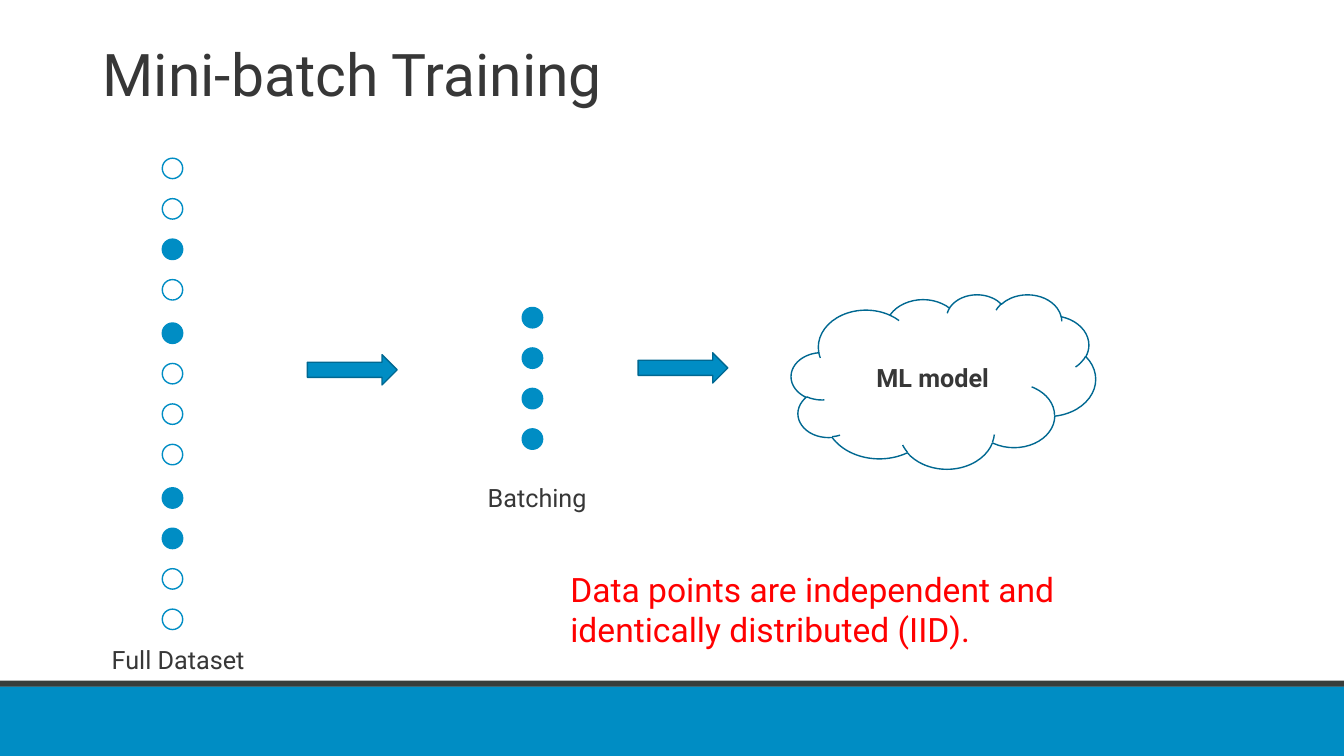
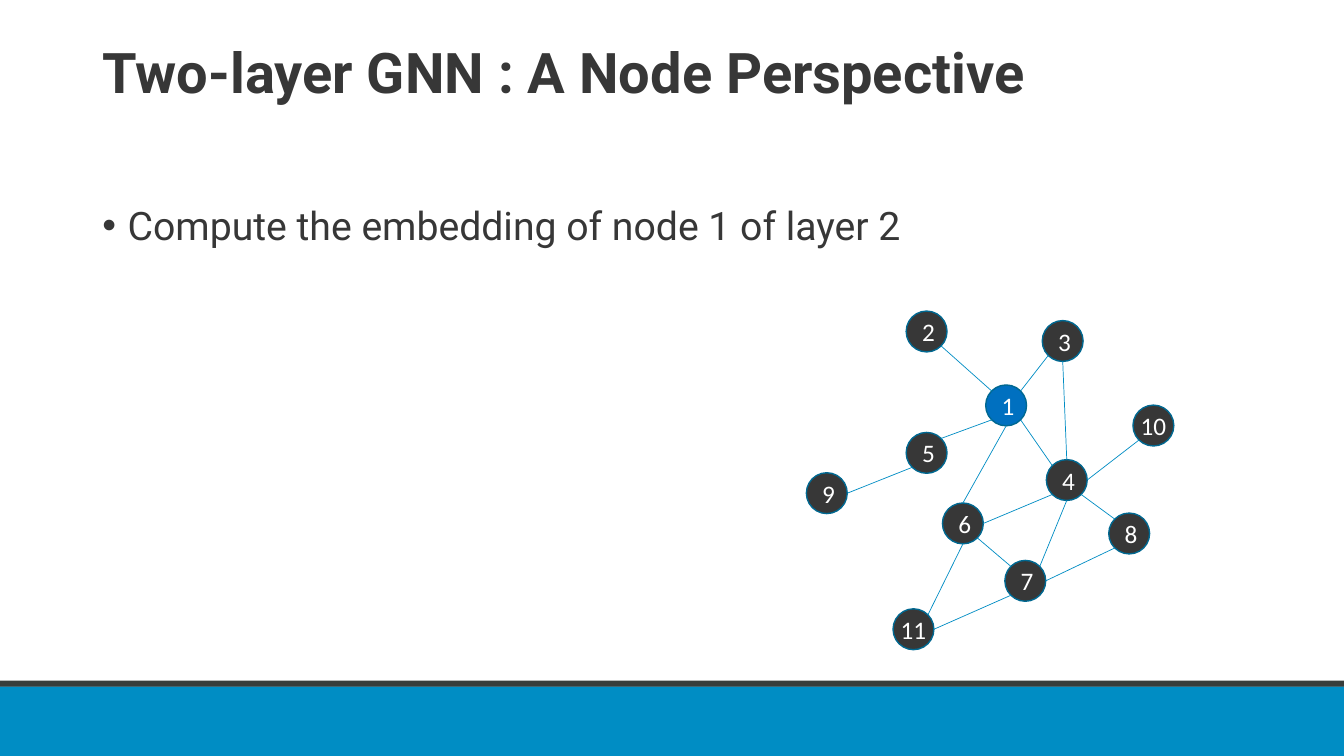
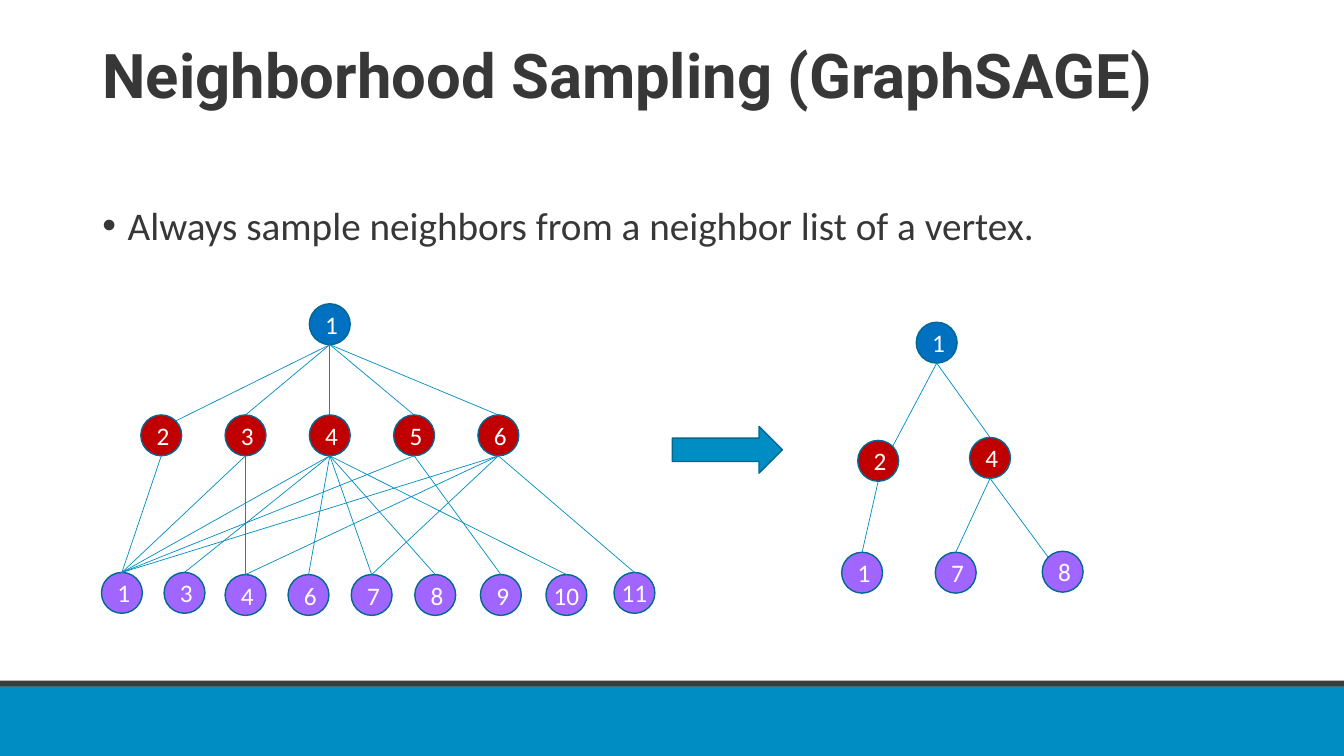
"""Build three slides on mini-batch training and neighbour sampling in graphs."""
import math
from dataclasses import dataclass
from typing import Any

import lxml.etree
import pptx
import pptx.dml.color
import pptx.enum.shapes
import pptx.enum.text
import pptx.oxml.ns
import pptx.slide
import pptx.util

Pt = pptx.util.Pt
Form = pptx.enum.shapes.MSO_SHAPE
Align = pptx.enum.text.PP_ALIGN
Anchor = pptx.enum.text.MSO_ANCHOR
Fit = pptx.enum.text.MSO_AUTO_SIZE

BLUE, EDGE, INK, WHITE, RED = "008DC4", "006891", "373737", "FFFFFF", "FF0000"
TONES = {"r": "0070C0", "m": "C00000", "b": "A166FF", "n": INK}
HEAD, BODY = "Roboto", "Calibri"
SITES = {"e": 0, "se": 45, "s": 90, "sw": 135, "w": 180, "nw": 225, "n": 270, "ne": 315}
NODE, DOT = 29.2, 14.6


@dataclass(frozen=True)
class Box:
    x: float
    y: float
    w: float
    h: float

    def lens(self) -> list[int]:
        return [Pt(v) for v in (self.x, self.y, self.w, self.h)]


@dataclass(frozen=True)
class Style:
    size: float
    font: str = HEAD
    tone: str = INK
    bold: bool = False


@dataclass(frozen=True)
class Node:
    key: str
    x: float
    y: float

    def site(self, name: str) -> tuple[int, int]:
        turn = math.radians(SITES[name])
        half = NODE / 2
        return Pt(self.x + half * math.cos(turn)), Pt(self.y + half * math.sin(turn))


@dataclass(frozen=True)
class Link:
    start: str
    end: str
    out: str = "s"
    into: str = "n"


BANDS = ((Box(0, 490.3, 960, 49.7), BLUE), (Box(0, 486.2, 960, 4.3), "383D3B"))
TITLE, LIST = Box(66, 28.8, 828, 104.4), Box(66, 144, 828, 342)
LABEL, NUM = Style(18), Style(18, BODY, WHITE)

GRAPH = [
    Node("r1", 718.7, 289.6), Node("n2", 661.9, 236.8), Node("n6", 687.8, 373.9),
    Node("n10", 823.9, 304), Node("n7", 732.4, 414.9), Node("n5", 661.9, 323.5),
    Node("n3", 759.1, 243.6), Node("n4", 762, 342.9), Node("n9", 590.6, 352.3),
    Node("n8", 806.6, 381.1), Node("n11", 652.5, 449.5),
]
TIES = [
    Link("n3", "r1", "sw", "ne"), Link("n2", "r1", "se", "nw"), Link("r1", "n5", "sw", "ne"),
    Link("r1", "n4", "se", "nw"), Link("n6", "n4", "e", "sw"), Link("n3", "n4"),
    Link("n9", "n5", "e", "sw"), Link("n6", "n7", "se", "nw"), Link("n8", "n7", "sw", "e"),
    Link("n4", "n8", "se", "nw"), Link("r1", "n6"), Link("n4", "n7", "s", "ne"),
    Link("n4", "n10", "e", "sw"), Link("n11", "n6", "ne", "s"), Link("n11", "n7", "e", "sw"),
]
LEAVES = [
    Node("b1", 87.1, 423.5), Node("b3", 131.8, 423.5), Node("b4", 175.4, 425),
    Node("b6", 220.4, 425), Node("b7", 265.5, 425), Node("b8", 310.9, 425),
    Node("b9", 357.8, 425), Node("b10", 404.6, 425), Node("b11", 453.2, 423.5),
]
SAMPLE = [
    Node("r1", 669.1, 244.8), Node("m2", 627.3, 329.2), Node("m4", 707.2, 327.1),
    Node("b1", 615.8, 409.1), Node("b7", 682.7, 409.1), Node("b8", 759.1, 408.4),
]


def hue(code: str) -> pptx.dml.color.RGBColor:
    """Turn a hex string into a colour."""
    return pptx.dml.color.RGBColor.from_string(code)


def write(para: Any, text: str, style: Style) -> None:
    """Add one styled run to a paragraph."""
    run = para.add_run()
    run.text = text
    run.font.size = Pt(style.size)
    run.font.name = style.font
    run.font.bold = style.bold
    run.font.color.rgb = hue(style.tone)


def draw(shapes: Any, form: Form, box: Box, fill: str | None, line: str | None = EDGE) -> Any:
    """Draw a flat preset shape."""
    shape = shapes.add_shape(form, *box.lens())
    shape.shadow.inherit = False
    if fill:
        shape.fill.solid()
        shape.fill.fore_color.rgb = hue(fill)
    else:
        shape.fill.background()
    if line:
        shape.line.color.rgb = hue(line)
        shape.line.width = Pt(1)
    else:
        shape.line.fill.background()
    return shape


def mark(shape: Any, text: str, style: Style) -> None:
    """Centre text inside a shape."""
    frame = shape.text_frame
    frame.vertical_anchor = Anchor.MIDDLE
    para = frame.paragraphs[0]
    para.alignment = Align.CENTER
    write(para, text, style)


def note(slide: pptx.slide.Slide, box: Box, text: str, style: Style, wrap: bool = False) -> None:
    """Add a free text box."""
    frame = slide.shapes.add_textbox(*box.lens()).text_frame
    frame.word_wrap = wrap
    frame.auto_size = Fit.SHAPE_TO_FIT_TEXT
    write(frame.paragraphs[0], text, style)


def place(holder: Any, box: Box, text: str, style: Style) -> Any:
    """Move a placeholder, write its text and return the paragraph."""
    holder.left, holder.top, holder.width, holder.height = box.lens()
    frame = holder.text_frame
    frame.auto_size = Fit.NONE
    frame.word_wrap = True
    frame.vertical_anchor = Anchor.TOP
    para = frame.paragraphs[0]
    para.alignment = Align.LEFT
    para.line_spacing = 0.9
    para.space_before = Pt(0)
    write(para, text, style)
    return para


def start(deck: Any, kind: int, title: str, style: Style) -> pptx.slide.Slide:
    """Add a slide with its title."""
    slide = deck.slides.add_slide(deck.slide_layouts[kind])
    place(slide.shapes.title, TITLE, title, style)
    return slide


def point(slide: pptx.slide.Slide, text: str, font: str) -> None:
    """Write the bullet in the body placeholder."""
    para = place(slide.placeholders[1], LIST, text, Style(28, font))
    props = para._p.get_or_add_pPr()
    props.set("marL", str(Pt(18)))
    props.set("indent", str(Pt(-18)))


def brand(deck: Any, slide: pptx.slide.Slide) -> None:
    """Put the footer bands on the slide master."""
    tree = deck.slide_master.shapes.element
    for i, (box, tone) in enumerate(BANDS):
        band = draw(slide.shapes, Form.RECTANGLE, box, tone, None)
        band.element.xpath("./p:nvSpPr/p:cNvPr")[0].set("id", str(101 + i))
        tree.insert(2 + i, band.element)


def net(slide: pptx.slide.Slide, nodes: list[Node], links: list[Link]) -> None:
    """Draw a group of numbered nodes and the links between them."""
    shapes = slide.shapes.add_group_shape().shapes
    for node in nodes:
        box = Box(node.x - NODE / 2, node.y - NODE / 2, NODE, NODE)
        ball = draw(shapes, Form.OVAL, box, TONES[node.key[0]])
        text = node.key[1:]
        ball.text_frame.word_wrap = len(text) == 1
        mark(ball, text, NUM)
    spots = {node.key: node for node in nodes}
    for link in links:
        ends = spots[link.start].site(link.out) + spots[link.end].site(link.into)
        line = shapes.add_connector(pptx.enum.shapes.MSO_CONNECTOR.STRAIGHT, *ends)
        line.line.color.rgb = hue(BLUE)
        line.line.width = Pt(0.5)
        lxml.etree.SubElement(line.element.spPr, pptx.oxml.ns.qn("a:effectLst"))


def fan(root: str, kids: str) -> list[Link]:
    """Link one node to each node below it."""
    return [Link(root, kid) for kid in kids.split()]


def dots(slide: pptx.slide.Slide, x: float, y: float, full: set[int]) -> None:
    """Draw a column of four dots, some of them filled."""
    for i in range(4):
        box = Box(x, y + 28.9 * i, DOT, DOT)
        draw(slide.shapes, Form.OVAL, box, BLUE if i in full else WHITE, BLUE)


def batch(deck: Any) -> None:
    """Build the mini-batch slide."""
    slide = start(deck, 5, "Mini-batch Training", Style(42))
    brand(deck, slide)
    for i, full in enumerate(({2}, {0}, {0, 1})):
        dots(slide, 115.9, 113 + 117.7 * i, full)
    dots(slide, 373, 219.6, {0, 1, 2, 3})
    for x, y in ((219.6, 253.4), (455.8, 252)):
        draw(slide.shapes, Form.RIGHT_ARROW, Box(x, y, 64.1, 21.6), BLUE)
    cloud = draw(slide.shapes, Form.CLOUD, Box(565.2, 210.2, 217.4, 124.6), None)
    mark(cloud, "ML model", Style(18, bold=True))
    note(slide, Box(341.3, 340.6, 87.1, 29), "Batching", LABEL)
    note(slide, Box(72.7, 456.5, 112.3, 29), "Full Dataset", LABEL)
    note(slide, Box(400.3, 402.5, 368.6, 65.5),
         "Data points are independent and identically distributed (IID).",
         Style(24, tone=RED), True)


def view(deck: Any) -> None:
    """Build the node perspective slide."""
    slide = start(deck, 1, "Two-layer GNN : A Node Perspective", Style(40, bold=True))
    point(slide, "Compute the embedding of node 1 of layer 2", HEAD)
    net(slide, GRAPH, TIES)


def sample(deck: Any) -> None:
    """Build the neighbourhood sampling slide."""
    slide = start(deck, 1, "Neighborhood Sampling (GraphSAGE)", Style(44, bold=True))
    point(slide, "Always sample neighbors from a neighbor list of a vertex.", BODY)
    draw(slide.shapes, Form.RIGHT_ARROW, Box(480.2, 304.6, 78.7, 33.4), BLUE)
    net(slide, SAMPLE, [
        Link("r1", "m2", into="ne"), Link("r1", "m4"), Link("m2", "b1"),
        Link("m4", "b7"), Link("m4", "b8", into="nw"),
    ])
    mids = [Node(f"m{i + 2}", 115.2 + 60.2 * i, 311) for i in range(5)]
    links = [Link("r1", "m2", into="ne")]
    for root, kids in (
        ("r1", "m3 m4 m5 m6"), ("m2", "b1"), ("m3", "b1 b4"),
        ("m4", "b1 b3 b6 b7 b8 b10"), ("m5", "b1 b9"), ("m6", "b1 b4 b7 b11"),
    ):
        links += fan(root, kids)
    net(slide, [Node("r1", 235.6, 231.6), *mids, *LEAVES], links)


def main() -> None:
    """Build and save the deck."""
    deck = pptx.Presentation()
    deck.slide_width, deck.slide_height = Pt(960), Pt(540)
    for build in (batch, view, sample):
        build(deck)
    deck.save("out.pptx")


if __name__ == "__main__":
    main()
